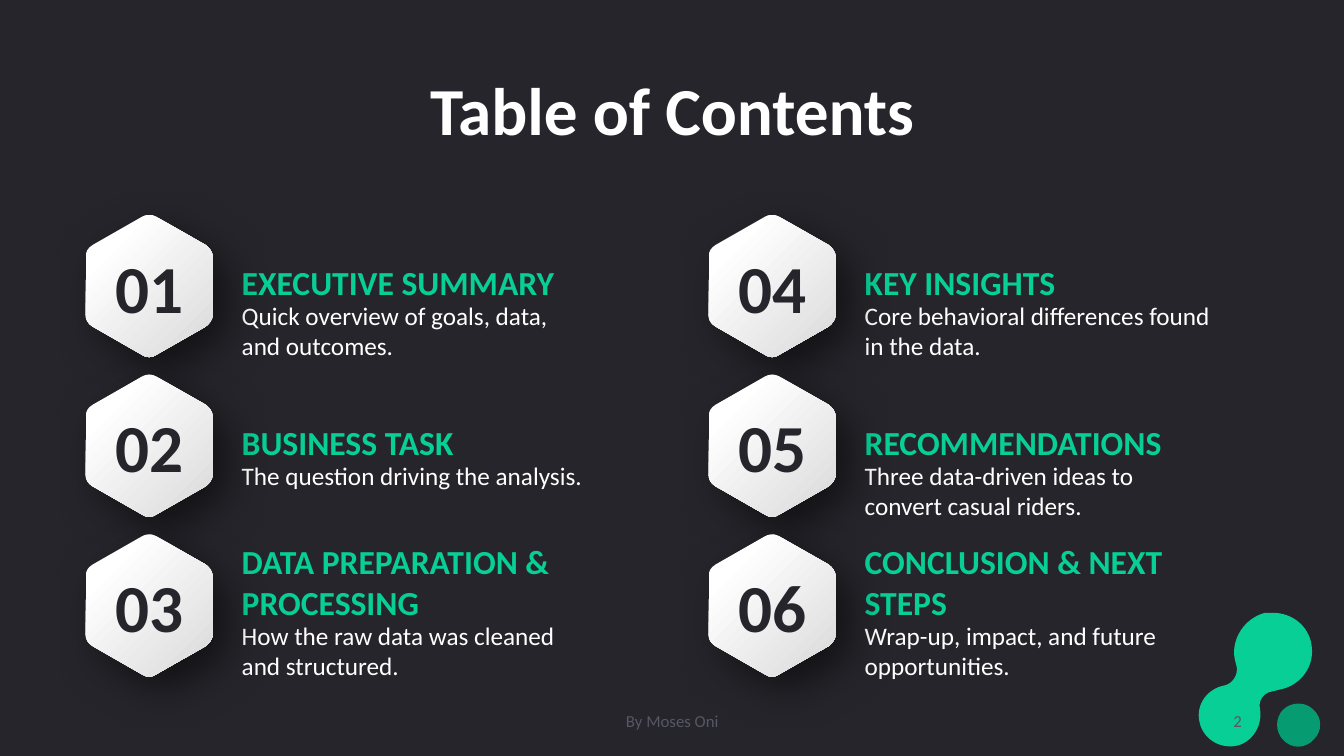
"""Build the table of contents slide."""
from lxml import etree
from pptx import Presentation
from pptx.dml.color import RGBColor
from pptx.enum.text import MSO_ANCHOR, PP_ALIGN
from pptx.oxml.ns import qn
from pptx.util import Inches, Pt

DARK, WHITE, SHADE = "25252B", "FFFFFF", "DAD9D9"
GREEN, DEEP_GREEN, GRAY = "08CF96", "069B71", "575765"
FONT = "Calibri"
ITEMS = [
    ("EXECUTIVE SUMMARY", "Quick overview of goals, data, and outcomes."),
    ("BUSINESS TASK", "The question driving the analysis."),
    ("DATA PREPARATION & PROCESSING", "How the raw data was cleaned and structured."),
    ("KEY INSIGHTS", "Core behavioral differences found in the data."),
    ("RECOMMENDATIONS", "Three data-driven ideas to convert casual riders."),
    ("CONCLUSION & NEXT STEPS", "Wrap-up, impact, and future opportunities."),
]
ROWS, LEFT, TOP, COLUMN_STEP, ROW_STEP = 3, 0.85, 2.13, 6.18, 1.585
TEXT_INDENT, TEXT_WIDTH, HEADING_BOTTOM, BODY_TOP = 1.45, 3.63, 0.87, 0.85
LONG_HEADING, LONG_BODY = 20, 36
HEXAGON = [
    [(0.63, 0), (0.65, 0), (0.68, 0.01), (0.7, 0.02)],
    [(1.19, 0.3), (1.23, 0.33), (1.26, 0.37), (1.26, 0.42)],
    [(1.26, 0.99), (1.26, 1.04), (1.23, 1.08), (1.19, 1.11)],
    [(0.7, 1.39), (0.66, 1.42), (0.6, 1.42), (0.56, 1.39)],
    [(0.07, 1.11), (0.02, 1.08), (0, 1.04), (0, 0.99)],
    [(0, 0.42), (0, 0.37), (0.02, 0.33), (0.07, 0.3)],
    [(0.56, 0.02), (0.58, 0.01), (0.6, 0), (0.63, 0)],
]
BLOB = [
    [(13.01, 6.39), (13.05, 6.6), (12.91, 6.8), (12.7, 6.84)],
    [(12.62, 6.86), (12.54, 6.87), (12.48, 6.95), (12.5, 7.03)],
    [(12.5, 7.03), (12.53, 7.2), (12.42, 7.37), (12.26, 7.4)],
    [(12.26, 7.4), (12.09, 7.43), (11.93, 7.32), (11.9, 7.16)],
    [(11.9, 7.16), (11.86, 6.99), (11.98, 6.83), (12.15, 6.8)],
    [(12.15, 6.8), (12.23, 6.78), (12.28, 6.7), (12.27, 6.62)],
    [(12.25, 6.54), (12.21, 6.34), (12.35, 6.13), (12.55, 6.08)],
    [(12.55, 6.08), (12.58, 6.08), (12.61, 6.08), (12.63, 6.08)],
    [(12.63, 6.08), (12.82, 6.08), (12.98, 6.21), (13.01, 6.39)],
]
DOT = [
    [(13.03, 7.04), (13.12, 7.12), (13.12, 7.26), (13.03, 7.34)],
    [(13.03, 7.34), (12.95, 7.43), (12.81, 7.43), (12.73, 7.34)],
    [(12.73, 7.34), (12.65, 7.26), (12.65, 7.12), (12.73, 7.04)],
    [(12.73, 7.04), (12.77, 7), (12.83, 6.98), (12.88, 6.98)],
    [(12.88, 6.98), (12.94, 6.98), (12.99, 7), (13.03, 7.04)],
]

prs = Presentation()
prs.slide_width, prs.slide_height = Inches(40 / 3), Inches(7.5)
slide = prs.slides.add_slide(prs.slide_layouts[6])
shapes = slide.shapes


def color(value):
    return RGBColor.from_string(value)


def outline(curves, fill, left=0, top=0):
    points = [((left + x) * 1000, (top + y) * 1000) for curve in curves for x, y in curve]
    builder = shapes.build_freeform(*points[0], scale=914.4)
    builder.add_line_segments(points[1:], close=True)
    shape = builder.convert_to_shape()
    bend(shape)
    shape.shadow.inherit = False
    shape.fill.solid()
    shape.fill.fore_color.rgb = color(fill)
    shape.line.fill.background()
    return shape


def bend(shape):
    path = next(shape._element.iter(qn("a:path")))
    segments = list(path)[:-1]
    for first in range(0, len(segments), 4):
        curve = etree.Element(qn("a:cubicBezTo"))
        segments[first].addnext(curve)
        for segment in segments[first + 1:first + 4]:
            curve.append(segment[0])
            path.remove(segment)


def write(shape, text, size, fill, bold=False, align=PP_ALIGN.LEFT,
          anchor=MSO_ANCHOR.MIDDLE, insets=(0.1, 0.05, 0.1, 0.05)):
    frame = shape.text_frame
    frame.word_wrap = True
    frame.vertical_anchor = anchor
    (frame.margin_left, frame.margin_top,
     frame.margin_right, frame.margin_bottom) = map(Inches, insets)
    paragraph = frame.paragraphs[0]
    paragraph.alignment = align
    run = paragraph.add_run()
    run.text = text
    run.font.name, run.font.size, run.font.bold = FONT, Pt(size), bold
    run.font.color.rgb = color(fill)
    return paragraph


def box(left, top, width, height):
    return shapes.add_textbox(*map(Inches, (left, top, width, height)))


def badge(left, top, number):
    shape = outline(HEXAGON, WHITE, left, top)
    shape.fill.gradient()
    shape.fill.gradient_angle = 315
    for stop, position, value in zip(shape.fill.gradient_stops, (0.2, 1), (WHITE, SHADE)):
        stop.position, stop.color.rgb = position, color(value)
    effects = shape._element.spPr.find(qn("a:effectLst"))
    shadow = etree.SubElement(effects, qn("a:outerShdw"), blurRad=str(Pt(30)),
                              dist=str(Pt(14)), dir=str(45 * 60000),
                              algn="tl", rotWithShape="0")
    black = etree.SubElement(shadow, qn("a:srgbClr"), val="000000")
    etree.SubElement(black, qn("a:alpha"), val="50000")
    write(shape, f"{number:02}", 48, DARK, True, PP_ALIGN.CENTER,
          insets=(0.06, 0.03, 0.06, 0.03))


def entry(left, top, heading, body):
    heading_height = 1.01 if len(heading) > LONG_HEADING else 0.61
    body_height = 0.61 if len(body) > LONG_BODY else 0.3
    write(box(left, top + HEADING_BOTTOM - heading_height, TEXT_WIDTH, heading_height),
          heading, 24, GREEN, True, anchor=MSO_ANCHOR.BOTTOM, insets=(0.1, 0.2, 0.1, 0))
    write(box(left, top + BODY_TOP, TEXT_WIDTH, body_height),
          body, 18, WHITE, anchor=MSO_ANCHOR.TOP, insets=(0.1, 0, 0.1, 0))


slide.background.fill.solid()
slide.background.fill.fore_color.rgb = color(DARK)
outline(BLOB, GREEN)
outline(DOT, DEEP_GREEN)

title = write(box(0.92, 0.4, 11.5, 1.45), "Table of Contents", 48, WHITE, True,
              PP_ALIGN.CENTER)
title.line_spacing = 0.9
write(box(4.42, 6.95, 4.5, 0.4), "By Moses Oni", 12, GRAY, align=PP_ALIGN.CENTER)
write(box(9.42, 6.95, 3, 0.4), "2", 12, GRAY, align=PP_ALIGN.RIGHT)

places = [(LEFT + index // ROWS * COLUMN_STEP, TOP + index % ROWS * ROW_STEP)
          for index in range(len(ITEMS))]
for place, item in zip(places, ITEMS):
    entry(place[0] + TEXT_INDENT, place[1], *item)
for number, place in enumerate(places, 1):
    badge(*place, number)

prs.save("out.pptx")
